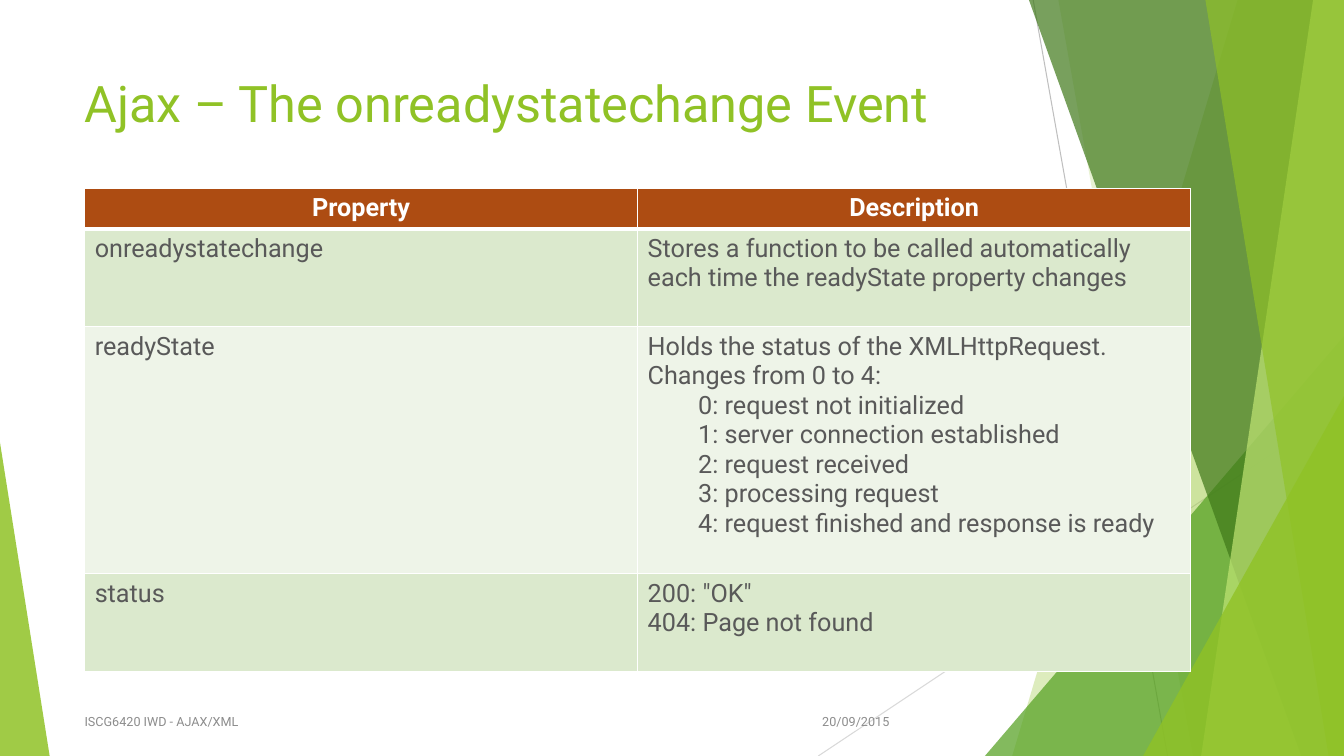
from dataclasses import dataclass

from lxml.etree import SubElement
from pptx import Presentation
from pptx.dml.color import RGBColor
from pptx.enum.shapes import MSO_CONNECTOR as Connector, MSO_SHAPE as Shape
from pptx.enum.text import MSO_ANCHOR as Anchor, PP_ALIGN as Align
from pptx.oxml import parse_xml
from pptx.oxml.ns import nsdecls, qn
from pptx.util import Pt


@dataclass(frozen=True)
class Theme:
    font: str = "Roboto"
    lime: str = "90C226"
    green: str = "54A021"
    forest: str = "3F7819"
    pale_lime: str = "C0E474"
    rust: str = "AD4C12"
    band_dark: str = "DBE9CD"
    band_light: str = "EEF4E8"
    white: str = "FFFFFF"
    body: str = "595959"
    muted: str = "8C8C8C"
    ray_dark: str = "BFBFBF"
    ray_light: str = "D9D9D9"
    title_size: int = 36
    table_size: int = 18
    footer_size: int = 9


THEME = Theme()
WIDTH, HEIGHT = 960, 540

RAYS = [
    ((738, 0), (834, 540), THEME.ray_dark),
    ((960, 290), (584.5, 540), THEME.ray_light),
]
FACETS = [
    ("wedge", (884, 723), THEME.lime, 30),
    ("wedge", (756, 852), THEME.lime, 20),
    ("triangle", (703.5, 240, 256.5, 300, 1), THEME.green, 72),
    ("wedge", (735, 929.5), THEME.forest, 70),
    ("wedge", (938, 858), THEME.pale_lime, 70),
    ("wedge", (861, 949), THEME.lime, 65),
    ("triangle", (816.5, 283, 143.5, 257, 1), THEME.lime, 80),
    ("triangle", (0, 316, 35.5, 224, 0), THEME.lime, 85),
]

HEADINGS = ["Property", "Description"]
PROPERTIES = [
    ("onreadystatechange",
     ["Stores a function to be called automatically each time the readyState property changes"], []),
    ("readyState",
     ["Holds the status of the XMLHttpRequest. Changes from 0 to 4:"],
     ["0: request not initialized",
      "1: server connection established",
      "2: request received",
      "3: processing request",
      "4: request finished and response is ready"]),
    ("status", ['200: "OK"', "404: Page not found"], []),
]
ROW_HEIGHTS = [28.5, 70, 176.5, 70]


def apply_format(target, values):
    for key, value in values.items():
        setattr(target, key, value)


def write(paragraph, text, size, color, bold=False, align=Align.LEFT):
    paragraph.alignment = align
    run = paragraph.add_run()
    run.text = text
    apply_format(run.font, {"name": THEME.font, "size": Pt(size), "bold": bold})
    run.font.color.rgb = RGBColor.from_string(color)


def paint(facet, color, opacity):
    facet.shadow.inherit = False
    facet.line.fill.background()
    facet.fill.solid()
    facet.fill.fore_color.rgb = RGBColor.from_string(color)
    tint = facet.fill._xPr.find(qn("a:solidFill"))[0]
    SubElement(tint, qn("a:alpha"), val=str(opacity * 1000))


def add_wedge(slide, box, top_x, bottom_x):
    left, top, width, height = box
    right, bottom = left + width, top + height
    outline = [(right, top), (right, bottom), (bottom_x, bottom)]
    builder = slide.shapes.build_freeform(Pt(top_x), Pt(top))
    builder.add_line_segments([(Pt(x), Pt(y)) for x, y in outline], close=True)
    return builder.convert_to_shape()


def add_triangle(slide, left, top, width, height, apex):
    triangle = slide.shapes.add_shape(
        Shape.ISOSCELES_TRIANGLE, Pt(left), Pt(top), Pt(width), Pt(height))
    triangle.adjustments[0] = apex
    return triangle


def add_backdrop(slide, box):
    for start, end, color in RAYS:
        ray = slide.shapes.add_connector(
            Connector.STRAIGHT, *(Pt(value) for value in start + end))
        ray.line.width = Pt(0.75)
        ray.line.color.rgb = RGBColor.from_string(color)
        SubElement(ray._element.spPr, qn("a:effectLst"))
    for kind, geometry, color, opacity in FACETS:
        if kind == "wedge":
            facet = add_wedge(slide, box, *geometry)
        else:
            facet = add_triangle(slide, *geometry)
        paint(facet, color, opacity)


def add_label(slide, box, text, size, color, anchor, align=Align.LEFT):
    frame = slide.shapes.add_textbox(*(Pt(value) for value in box)).text_frame
    apply_format(frame, {"word_wrap": True, "vertical_anchor": anchor})
    write(frame.paragraphs[0], text, size, color, align=align)


def add_footer(slide, box):
    left, top, width, height = box
    date_width = 72
    label_style = (THEME.footer_size, THEME.muted, Anchor.MIDDLE)
    add_label(slide, (left + width - date_width, top, date_width, height),
              "20/09/2015", *label_style, Align.RIGHT)
    add_label(slide, (left, top, width - date_width - 20, height),
              "ISCG6420 IWD - AJAX/XML", *label_style)


def style_cell(cell, fill, top_border, bottom_border):
    cell.fill.solid()
    cell.fill.fore_color.rgb = RGBColor.from_string(fill)
    borders = {"lnL": 1, "lnR": 1, "lnT": top_border, "lnB": bottom_border}
    for position, (side, weight) in enumerate(borders.items()):
        cell._tc.get_or_add_tcPr().insert(position, parse_xml(
            f'<a:{side} {nsdecls("a")} w="{Pt(weight)}"><a:solidFill>'
            f'<a:srgbClr val="{THEME.white}"/></a:solidFill></a:{side}>'))


def fill_cell(cell, lines, states=(), color=THEME.body, bold=False, align=Align.LEFT):
    frame = cell.text_frame
    for index, text in enumerate([*lines, *states]):
        paragraph = frame.paragraphs[0] if index == 0 else frame.add_paragraph()
        if index >= len(lines):
            paragraph.level = 1
            paragraph._p.get_or_add_pPr().set("marL", str(Pt(36)))
        write(paragraph, text, THEME.table_size, color, bold, align)


def add_property_table(slide, box):
    left, top, width, height = box
    table = slide.shapes.add_table(
        len(ROW_HEIGHTS), len(HEADINGS), Pt(left), Pt(top), Pt(width), Pt(height)).table
    for column in table.columns:
        column.width = Pt(width / len(HEADINGS))
    for row, row_height in zip(table.rows, ROW_HEIGHTS):
        row.height = Pt(row_height)
    for column, heading in enumerate(HEADINGS):
        cell = table.cell(0, column)
        style_cell(cell, THEME.rust, 1, 3)
        fill_cell(cell, [heading], color=THEME.white, bold=True, align=Align.CENTER)
    for row, (name, description, states) in enumerate(PROPERTIES, 1):
        band = THEME.band_dark if row % 2 else THEME.band_light
        for column in range(len(HEADINGS)):
            style_cell(table.cell(row, column), band, 3 if row == 1 else 1, 1)
        fill_cell(table.cell(row, 0), [name])
        fill_cell(table.cell(row, 1), description, states)


def main():
    deck = Presentation()
    apply_format(deck, {"slide_width": Pt(WIDTH), "slide_height": Pt(HEIGHT)})
    slide = deck.slides.add_slide(deck.slide_layouts[6])
    add_backdrop(slide, (0, 0, WIDTH, HEIGHT))
    add_label(slide, (53.3, 48.3, 677, 103.7), "Ajax – The onreadystatechange Event",
              THEME.title_size, THEME.lime, Anchor.TOP)
    add_footer(slide, (53.3, 501, 589, 29))
    add_property_table(slide, (60.5, 134.6, 790, sum(ROW_HEIGHTS)))
    deck.save("out.pptx")


if __name__ == "__main__":
    main()
